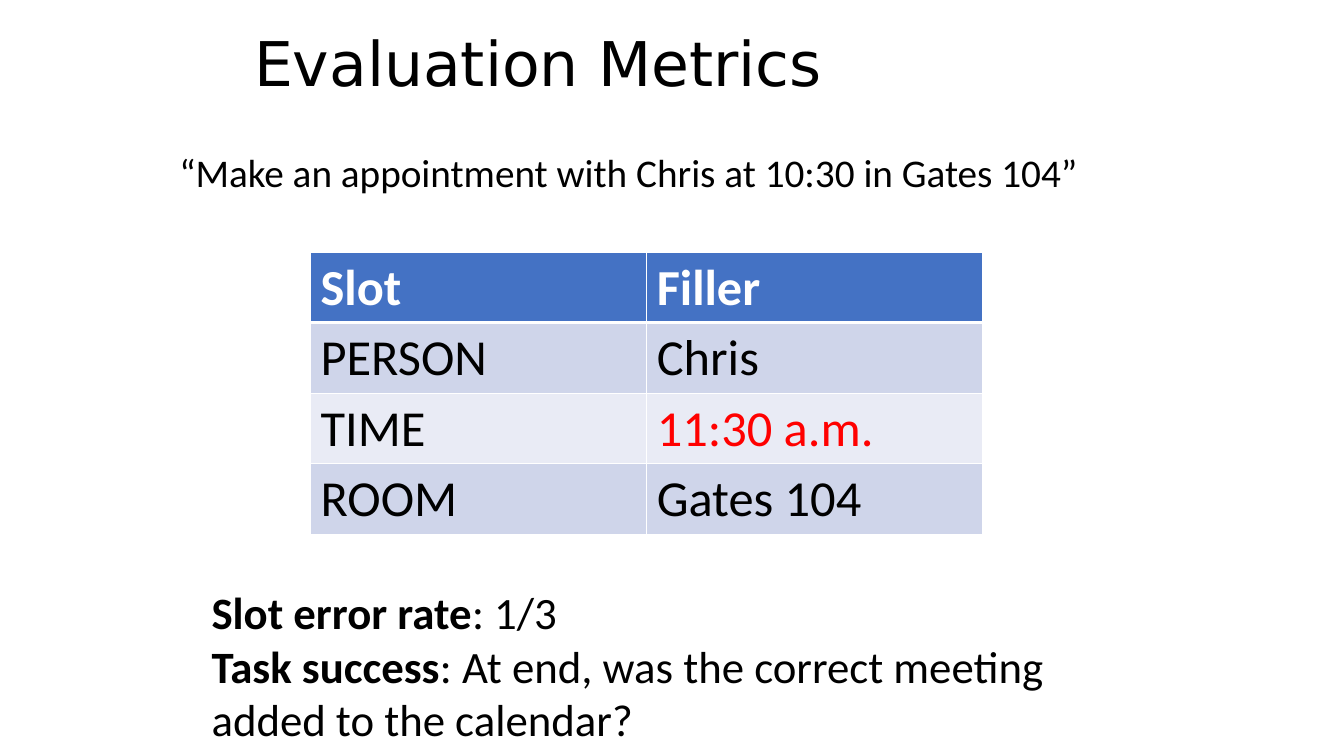
from lxml.etree import SubElement
from pptx import Presentation
from pptx.dml.color import RGBColor
from pptx.enum.text import MSO_ANCHOR, MSO_AUTO_SIZE, PP_ALIGN
from pptx.oxml.ns import qn
from pptx.util import Inches, Pt

BLACK, WHITE, RED = "000000", "FFFFFF", "FF0000"
HEADER_BLUE, BANDS = "4472C4", ("E9EBF5", "CFD5EA")
SLOTS = [("Slot", "Filler"), ("PERSON", "Chris"), ("TIME", "11:30 a.m."), ("ROOM", "Gates 104")]
WRONG_FILLER = "11:30 a.m."


def color(hex_string):
    """Turn a hex string into a colour."""
    return RGBColor.from_string(hex_string)


def add_text(paragraph, text, size=32, font="Calibri", fill=BLACK, bold=False):
    """Add a formatted run to a paragraph."""
    run = paragraph.add_run()
    run.text = text
    run.font.size, run.font.name, run.font.bold = Pt(size), font, bold
    run.font.color.rgb = color(fill)


def add_box(slide, box, wrap=True):
    """Add a text box that grows with its text and return its frame."""
    frame = slide.shapes.add_textbox(*map(Inches, box)).text_frame
    frame.word_wrap = wrap
    frame.auto_size = MSO_AUTO_SIZE.SHAPE_TO_FIT_TEXT
    return frame


def place_title(slide, box, text):
    """Move the title placeholder into the box and fill it."""
    title = slide.shapes.title
    title.left, title.top, title.width, title.height = map(Inches, box)
    frame = title.text_frame
    frame.vertical_anchor = MSO_ANCHOR.MIDDLE
    paragraph = frame.paragraphs[0]
    paragraph.alignment, paragraph.line_spacing = PP_ALIGN.LEFT, 0.9
    add_text(paragraph, text, size=44, font="DejaVu Sans")


def place_request(slide, box, text):
    """Put the spoken request on one line in the box."""
    add_text(add_box(slide, box, wrap=False).paragraphs[0], text, size=28)


def set_borders(cell, widths):
    """Draw white borders on a cell: left, right, top, bottom."""
    properties = cell._tc.get_or_add_tcPr()
    for index, (side, width) in enumerate(zip("LRTB", widths)):
        line = SubElement(properties, qn(f"a:ln{side}"), w=str(Pt(width)))
        SubElement(SubElement(line, qn("a:solidFill")), qn("a:srgbClr"), val=WHITE)
        properties.insert(index, line)


def place_slot_table(slide, box, rows):
    """Fill the box with a banded table of slots and fillers."""
    table = slide.shapes.add_table(len(rows), len(rows[0]), *map(Inches, box)).table
    for row, texts in enumerate(rows):
        header = row == 0
        for column, text in enumerate(texts):
            cell = table.cell(row, column)
            cell.fill.solid()
            cell.fill.fore_color.rgb = color(HEADER_BLUE if header else BANDS[row % 2])
            set_borders(cell, (1, 1, 3 if row == 1 else 1, 3 if header else 1))
            text_color = WHITE if header else RED if text == WRONG_FILLER else BLACK
            add_text(cell.text_frame.paragraphs[0], text, size=36, fill=text_color, bold=header)


def place_metrics(slide, box, metrics):
    """List each metric with a bold name in the box."""
    frame = add_box(slide, box)
    for index, (name, meaning) in enumerate(metrics):
        paragraph = frame.add_paragraph() if index else frame.paragraphs[0]
        add_text(paragraph, name, bold=True)
        add_text(paragraph, f": {meaning}")


def main():
    """Build the slide and save it."""
    presentation = Presentation()
    presentation.slide_width, presentation.slide_height = Inches(13.33), Inches(7.5)
    slide = presentation.slides.add_slide(presentation.slide_layouts[5])
    place_title(slide, (2.42, 0.25, 7.58, 0.83), "Evaluation Metrics")
    place_metrics(slide, (2, 5.75, 9.17, 1.72), [
        ("Slot error rate", "1/3"),
        ("Task success", "At end, was the correct meeting added to the calendar?"),
    ])
    place_request(slide, (1.68, 1.42, 9.24, 0.57),
                  "“Make an appointment with Chris at 10:30 in Gates 104”")
    place_slot_table(slide, (3.08, 2.5, 6.67, 2.8), SLOTS)
    presentation.save("out.pptx")


if __name__ == "__main__":
    main()
